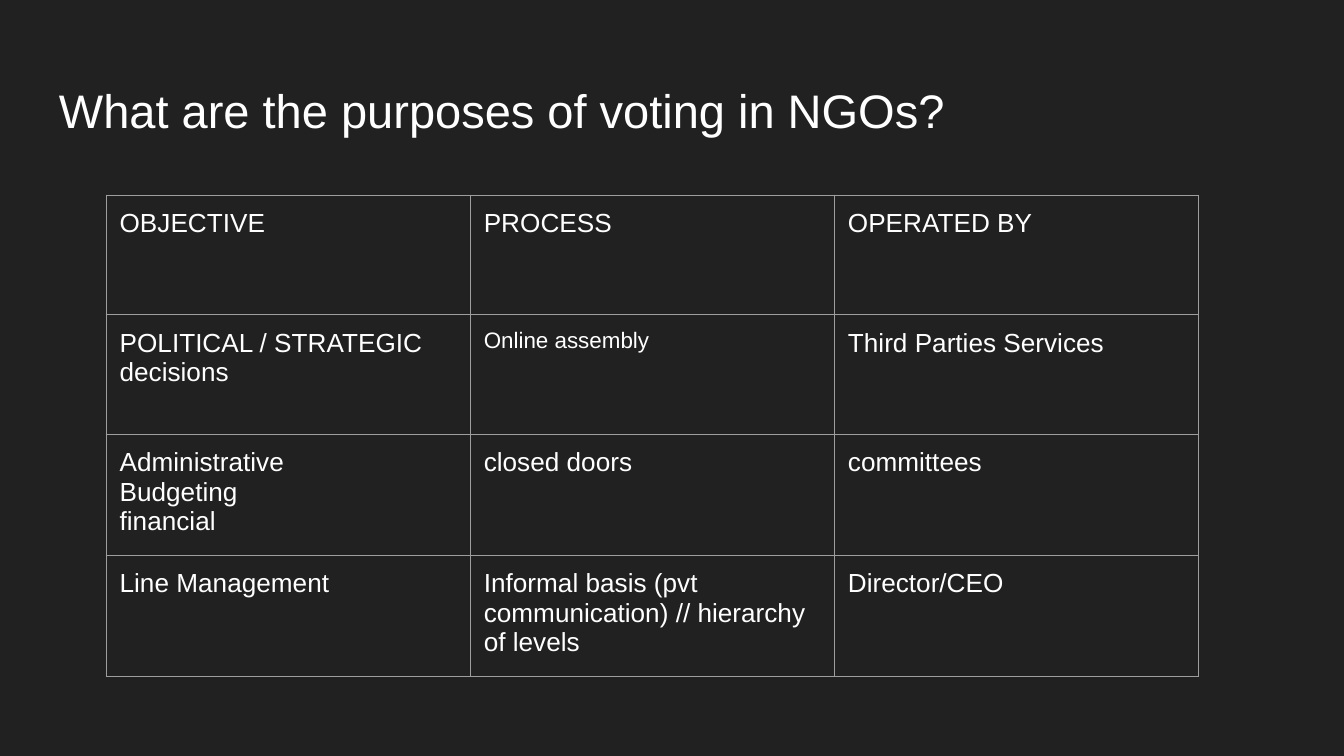
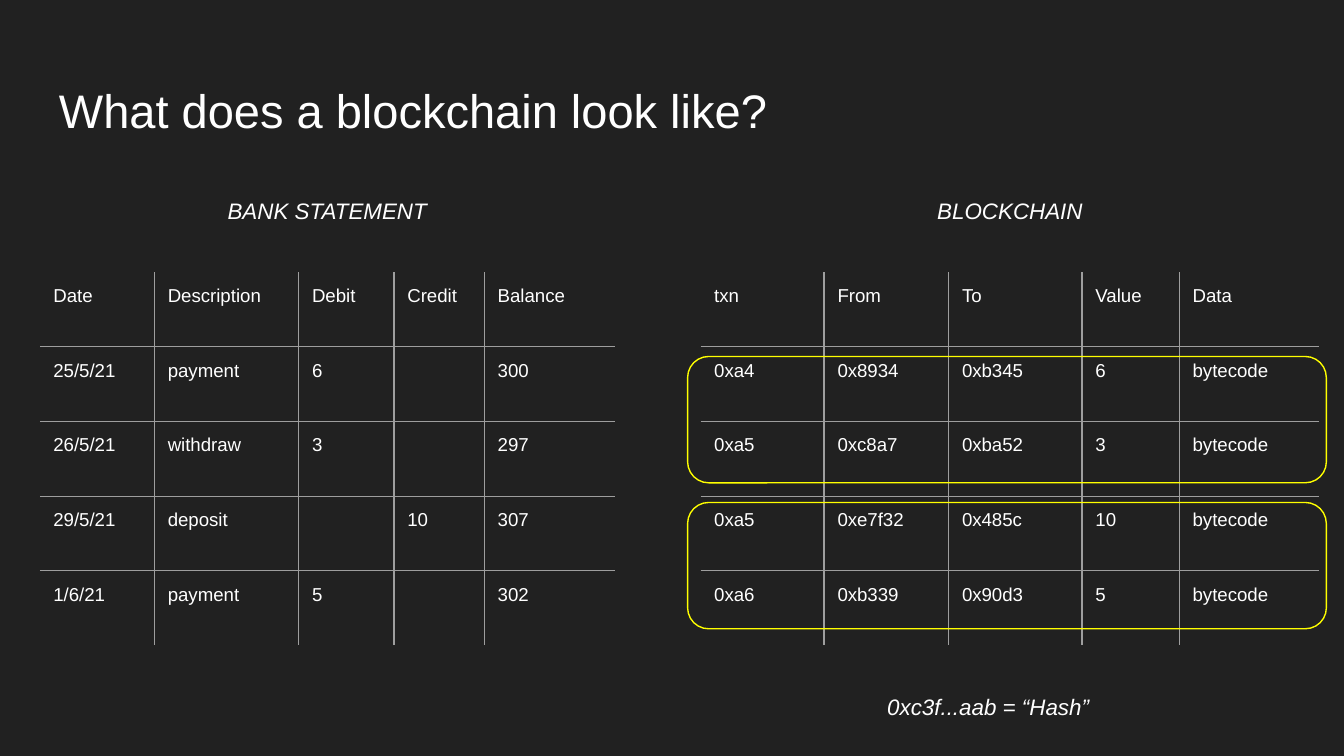
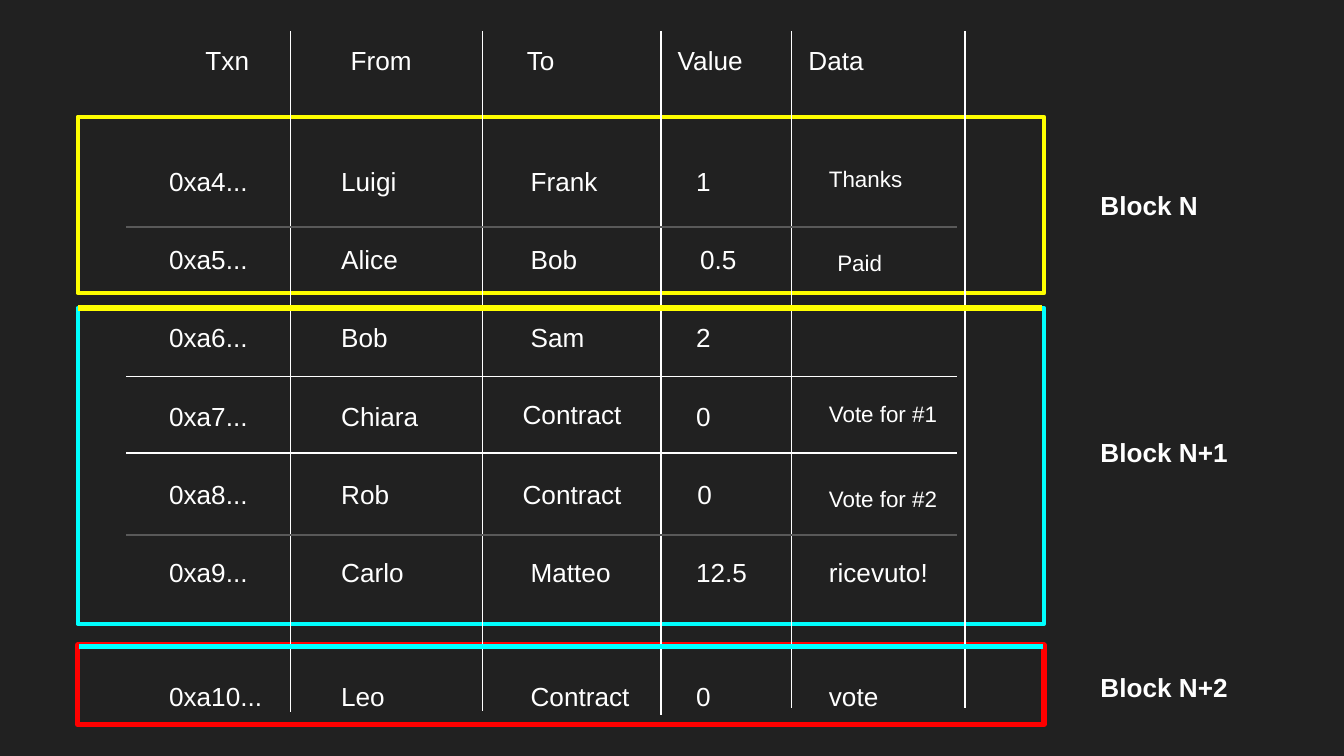
from lxml.etree import SubElement
from pptx import Presentation
from pptx.dml.color import RGBColor
from pptx.enum.shapes import MSO_CONNECTOR as CONN, MSO_SHAPE as SHAPE
from pptx.enum.text import MSO_ANCHOR as ANCHOR, PP_ALIGN as ALIGN
from pptx.oxml.ns import qn
from pptx.util import Pt

FONT = "Arial"
BACK, WHITE, GRID, DIM = "212121", "FFFFFF", "9E9E9E", "595959"
YELLOW, CYAN, RED = "FFFF00", "00FFFF", "FF0000"
INSET = 7.2

PURPOSES = [
    ["OBJECTIVE", "PROCESS", "OPERATED BY"],
    ["POLITICAL / STRATEGIC decisions", "Online assembly", "Third Parties Services"],
    ["Administrative\nBudgeting\nfinancial", "closed doors", "committees"],
    ["Line Management", "Informal basis (pvt communication) // hierarchy of levels",
     "Director/CEO"],
]
STATEMENT = [
    ["Date", "Description", "Debit", "Credit", "Balance"],
    ["25/5/21", "payment", "6", "", "300"],
    ["26/5/21", "withdraw", "3", "", "297"],
    ["29/5/21", "deposit", "", "10", "307"],
    ["1/6/21", "payment", "5", "", "302"],
]
CHAIN = [
    ["txn", "From", "To", "Value", "Data"],
    ["0xa4", "0x8934", "0xb345", "6", "bytecode"],
    ["0xa5", "0xc8a7", "0xba52", "3", "bytecode"],
    ["0xa5", "0xe7f32", "0x485c", "10", "bytecode"],
    ["0xa6", "0xb339", "0x90d3", "5", "bytecode"],
]
LEDGER = [
    ["0xa4...", "Luigi", "Frank", "1", "Thanks"],
    ["0xa5...", "Alice", "Bob", "0.5", "Paid"],
    ["0xa6...", "Bob", "Sam", "2", ""],
    ["0xa7...", "Chiara", "Contract", "0", "Vote for #1"],
    ["0xa8...", "Rob", "Contract", "0", "Vote for #2"],
    ["0xa9...", "Carlo", "Matteo", "12.5", "ricevuto!"],
    ["0xa10...", "Leo", "Contract", "0", "vote"],
]
NUDGES = {(1, 3): (2.2, 0), (1, 4): (4.5, 2.8), (3, 2): (-4.3, -0.7),
          (4, 2): (-4.3, 0), (4, 3): (0.7, 0), (4, 4): (0, 3.6)}


def rgb(value):
    """Turn a hex string into a colour."""
    return RGBColor.from_string(value)


def write(tf, text, size, bold=False, italic=False, align=ALIGN.LEFT):
    """Write each line of the text as a paragraph in the shared font."""
    for i, line in enumerate(text.split("\n")):
        p = tf.paragraphs[0] if i == 0 else tf.add_paragraph()
        p.alignment = align
        r = p.add_run()
        r.text = line
        r.font.name, r.font.size = FONT, Pt(size)
        r.font.bold, r.font.italic = bold, italic
        r.font.color.rgb = rgb(WHITE)


def add_text(s, box, text, size, anchor=ANCHOR.TOP, **style):
    """Add a wrapped text box and return its text frame."""
    tf = s.shapes.add_textbox(*map(Pt, box)).text_frame
    tf.word_wrap, tf.vertical_anchor = True, anchor
    tf.margin_left = tf.margin_right = tf.margin_top = tf.margin_bottom = Pt(INSET)
    write(tf, text, size, **style)
    return tf


def add_title(s, text):
    """Add the slide title."""
    add_text(s, (24.5, 36.2, 671, 45.4), text, 25.2, ANCHOR.MIDDLE)


def add_frame(s, box, color, width, kind=SHAPE.RECTANGLE):
    """Add an unfilled outline."""
    sp = s.shapes.add_shape(kind, *map(Pt, box))
    sp.shadow.inherit = False
    sp.fill.background()
    sp.line.color.rgb, sp.line.width = rgb(color), Pt(width)


def add_line(s, x1, y1, x2, y2, color, width=0.75):
    """Add a straight line without a shadow."""
    line = s.shapes.add_connector(CONN.STRAIGHT, *map(Pt, (x1, y1, x2, y2)))
    line.line.color.rgb, line.line.width = rgb(color), Pt(width)
    SubElement(line._element.spPr, qn("a:effectLst"))


def set_border(cell, side, shown):
    """Draw or clear one border of a cell."""
    ln = SubElement(cell._tc.get_or_add_tcPr(), qn("a:ln" + side), w=str(Pt(0.75)))
    if shown:
        fill = SubElement(ln, qn("a:solidFill"))
        SubElement(fill, qn("a:srgbClr"), val=GRID)
    else:
        SubElement(ln, qn("a:noFill"))


def add_grid(s, left, top, widths, height, rows, size, outer=True, sizes=None):
    """Add a ruled table, with or without its outer border."""
    n, m = len(rows), len(widths)
    frame = s.shapes.add_table(n, m, Pt(left), Pt(top), Pt(sum(widths)), Pt(n * height))
    table = frame.table
    table.first_row = table.horz_banding = False
    for col, width in zip(table.columns, widths):
        col.width = Pt(width)
    for i, row in enumerate(rows):
        table.rows[i].height = Pt(height)
        for j, text in enumerate(row):
            cell = table.cell(i, j)
            cell.margin_left = cell.margin_right = Pt(INSET)
            cell.margin_top = cell.margin_bottom = Pt(INSET)
            inner = {"L": j > 0, "R": j < m - 1, "T": i > 0, "B": i < n - 1}
            for side, inside in inner.items():
                set_border(cell, side, outer or inside)
            cell.fill.background()
            if text:
                write(cell.text_frame, text, (sizes or {}).get((i, j), size))


def add_header(s, box, labels, stops):
    """Add the ledger header as one line set on tab stops."""
    tf = add_text(s, box, "\t".join(labels), 14)
    tabs = SubElement(tf.paragraphs[0]._p.get_or_add_pPr(), qn("a:tabLst"))
    for stop in stops:
        SubElement(tabs, qn("a:tab"), pos=str(Pt(stop)), algn="l")


def add_ledger(s, left, top):
    """Add the ledger entries and their rules from a top left corner."""
    columns = [(0, 72), (92.2, 77), (193.7, 83.5), (282.3, 50.4), (353.5, 98.6)]
    tops = [41.9 * i for i in range(6)] + [275.8]
    for i, row in enumerate(LEDGER):
        for j, (text, (x, width)) in enumerate(zip(row, columns)):
            if text:
                dx, dy = NUDGES.get((i, j), (0, 0))
                size = 12 if j == 4 and i < 5 else 14
                add_text(s, (left + x + dx, top + tops[i] + dy, width, 31), text, size)
    for x, bottom in [(72, 300.2), (175, 299.5), (270.7, 301.7),
                      (340.6, 298.1), (433.5, 298.1)]:
        add_line(s, left + x, top - 64.8, left + x, top + bottom, WHITE)
    for y, color in [(40.3, DIM), (120.2, WHITE), (161.2, WHITE), (205.2, DIM)]:
        add_line(s, left - 15.8, top + y, left + 429.1, top + y, color)


def add_block(s, top, height, color, width, label, label_top):
    """Add the outline of a block and its name."""
    add_frame(s, (41.6, top, 517.7, height), color, width)
    add_text(s, (582.5, label_top, 90.7, 46), label, 14, bold=True)


def purposes_slide(s):
    """Build the slide on the purposes of voting."""
    add_title(s, "What are the purposes of voting in NGOs?")
    add_grid(s, 56.9, 104.6, [195.1] * 3, 64.1, PURPOSES, 14, sizes={(1, 1): 12})


def comparison_slide(s):
    """Build the slide that sets a bank statement beside a blockchain."""
    add_title(s, "What does a blockchain look like?")
    add_grid(s, 21.4, 145.8, [61.3, 77.3, 51.1, 48.4, 69.8], 40, STATEMENT, 10, False)
    add_grid(s, 375.4, 145.8, [66.1, 66.7, 71.5, 52.1, 74.8], 40, CHAIN, 10, False)
    for x, y, width, text in [(88.6, 98.6, 173.5, "BANK STATEMENT"),
                              (454.3, 98.6, 173.5, "BLOCKCHAIN"),
                              (437, 364.3, 185, "0xc3f...aab = “Hash”")]:
        add_text(s, (x, y, width, 28.8), text, 12, italic=True, align=ALIGN.CENTER)
    for top in (191, 269.2):
        add_frame(s, (368.4, top, 342.2, 67.7), YELLOW, 0.75, SHAPE.ROUNDED_RECTANGLE)


def blocks_slide(s):
    """Build the slide that groups ledger entries into linked blocks."""
    add_block(s, 62.6, 94.5, YELLOW, 2.25, "Block N", 94.5)
    add_block(s, 165, 169.2, CYAN, 2.25, "Block N+1", 226.4)
    add_block(s, 345.6, 42.5, RED, 3, "Block N+2", 352.3)
    add_header(s, (103, 16.6, 600.5, 69.8), ["Txn", "From", "To", "Value", "Data"],
               [77.8, 172.2, 253, 323])
    add_ledger(s, 83.5, 81.4)
    for x, y, color in [(41.8, 165, YELLOW), (42.5, 346.3, CYAN)]:
        add_line(s, x, y, x + 516.2, y, color, 3)


def main():
    """Build the deck and save it."""
    prs = Presentation()
    prs.slide_width, prs.slide_height = Pt(720), Pt(405)
    fill = prs.slide_master.background.fill
    fill.solid()
    fill.fore_color.rgb = rgb(BACK)
    for build in (purposes_slide, comparison_slide, blocks_slide):
        build(prs.slides.add_slide(prs.slide_layouts[6]))
    prs.save("out.pptx")


if __name__ == "__main__":
    main()
